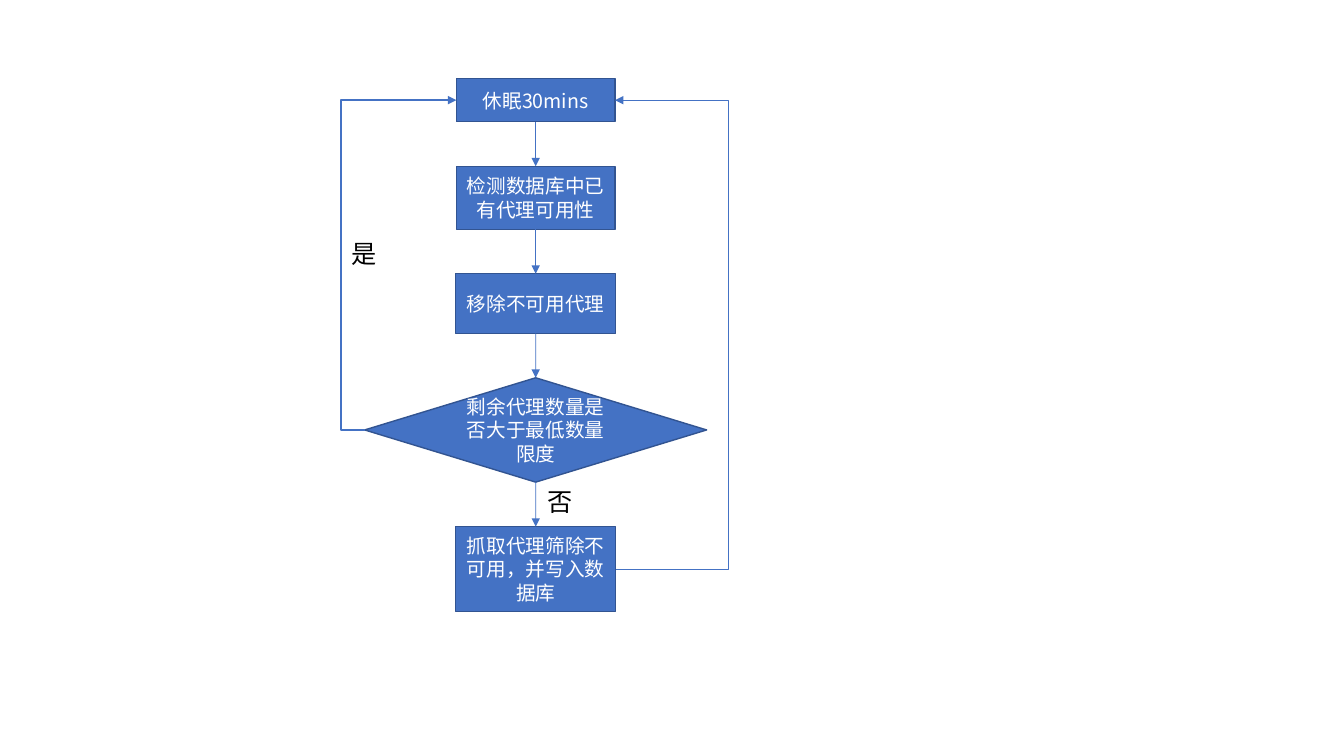
from lxml.etree import SubElement
from pptx import Presentation
from pptx.dml.color import RGBColor
from pptx.enum.shapes import MSO_CONNECTOR, MSO_SHAPE
from pptx.enum.text import MSO_ANCHOR, MSO_AUTO_SIZE, PP_ALIGN
from pptx.oxml.ns import qn
from pptx.util import Cm, Pt


def color(text):
    return RGBColor.from_string(text)


class Chart:
    font, blue, edge = "Noto Sans CJK SC", "4472C4", "325491"

    def __init__(self, slide):
        self.shapes = slide.shapes

    def put_text(self, frame, text, size, ink):
        frame.text = text
        for run in frame.paragraphs[0].runs:
            run.font.size = Pt(size)
            run.font.name = self.font
            run.font.color.rgb = color(ink)
            SubElement(run.font._element, qn("a:ea"), typeface=self.font)

    def step(self, kind, text, mid, top, width, height):
        box = self.shapes.add_shape(kind, Cm(mid - width / 2), Cm(top),
                                    Cm(width), Cm(height))
        box.shadow.inherit = False
        box.fill.solid()
        box.fill.fore_color.rgb = color(self.blue)
        box.line.color.rgb = color(self.edge)
        box.line.width = Pt(1)
        frame = box.text_frame
        self.put_text(frame, text, 14, "FFFFFF")
        frame.word_wrap = True
        frame.vertical_anchor = MSO_ANCHOR.MIDDLE
        frame.paragraphs[0].alignment = PP_ALIGN.CENTER
        return box

    def label(self, text, left, top):
        box = self.shapes.add_textbox(Cm(left), Cm(top), Cm(1.14), Cm(1.02))
        self.put_text(box.text_frame, text, 18, "000000")
        box.text_frame.word_wrap = False
        box.text_frame.auto_size = MSO_AUTO_SIZE.SHAPE_TO_FIT_TEXT

    def arrow(self, start, out, end, into, width=0.5,
              kind=MSO_CONNECTOR.STRAIGHT):
        link = self.shapes.add_connector(kind, 0, 0, 0, 0)
        link.begin_connect(start, out)
        link.end_connect(end, into)
        link.line.color.rgb = color(self.blue)
        link.line.width = Pt(width)
        SubElement(link.line._get_or_add_ln(), qn("a:tailEnd"), type="triangle")
        SubElement(link.element.spPr, qn("a:effectLst"))
        return link

    def loop(self, start, end, side, bend, width):
        link = self.arrow(start, side, end, side, width, MSO_CONNECTOR.ELBOW)
        # Place the upright part of the elbow at the bend
        ratio = (Cm(bend) - link.begin_x) / (link.end_x - link.begin_x)
        guides = link.element.spPr.find(qn("a:prstGeom")).get_or_add_avLst()
        SubElement(guides, qn("a:gd"), name="adj1",
                   fmla=f"val {round(ratio * 100000)}")


def main():
    deck = Presentation()
    deck.slide_width, deck.slide_height = Cm(33.87), Cm(19.05)
    chart = Chart(deck.slides.add_slide(deck.slide_layouts[6]))

    # Steps, stacked with an equal gap
    mid, top, gap = 13.5, 1.98, 1.12
    rect, choice = MSO_SHAPE.RECTANGLE, MSO_SHAPE.FLOWCHART_DECISION
    plan = [
        (rect, "休眠30mins", 4, 1.09),
        (rect, "检测数据库中已有代理可用性", 4, 1.59),
        (rect, "移除不可用代理", 4.04, 1.5),
        (choice, "剩余代理数量是否大于最低数量限度", 8.62, 2.63),
        (rect, "抓取代理筛除不可用，并写入数据库", 4.04, 2.14),
    ]
    steps = []
    for kind, text, width, height in plan:
        steps.append(chart.step(kind, text, mid, top, width, height))
        top += height + gap

    # Arrows down the stack
    for upper, lower in zip(steps, steps[1:]):
        chart.arrow(upper, 2, lower, 0)

    # Loops back to the first step
    first, test, last = steps[0], steps[3], steps[4]
    chart.loop(test, first, 1, 8.59, 1.5)
    chart.loop(last, first, 3, 18.35, 0.5)

    # Answers
    chart.label("是", 8.61, 5.87)
    chart.label("否", 13.54, 12.12)

    deck.save("out.pptx")


if __name__ == "__main__":
    main()
